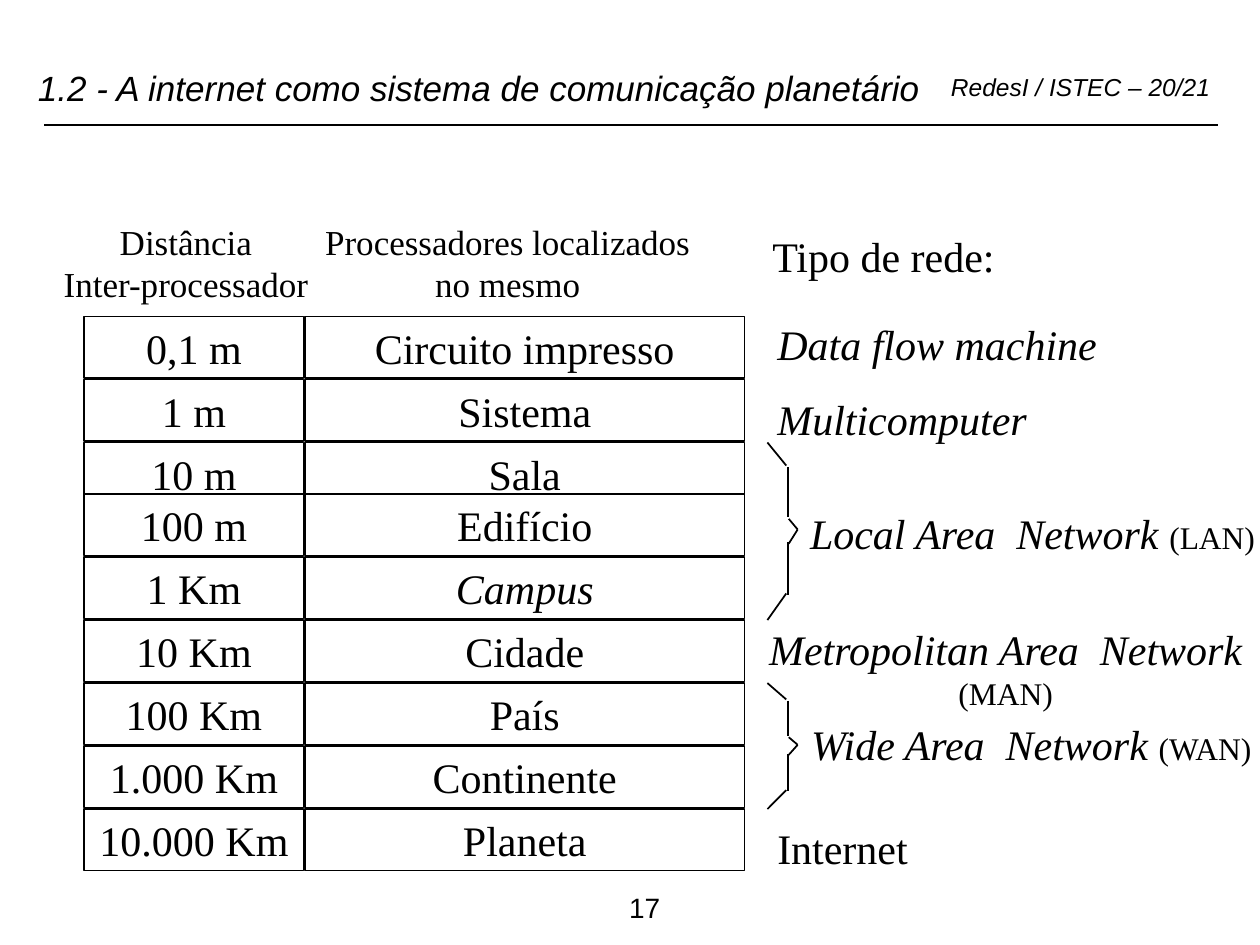
from pptx import Presentation
from pptx.dml.color import RGBColor
from pptx.enum.shapes import MSO_CONNECTOR, MSO_SHAPE
from pptx.enum.text import MSO_ANCHOR, MSO_AUTO_SIZE, PP_ALIGN
from pptx.oxml.ns import qn
from pptx.util import Cm, Pt

COLORS = {"ink": "000000", "paper": "FFFFFF"}
SERIF = "Times New Roman"
FORMATS = {
    "title": {"name": "Arial", "size": Pt(20), "italic": True},
    "course": {"name": "Arial", "size": Pt(14), "italic": True},
    "number": {"name": "Arial", "size": Pt(16), "italic": False},
    "heading": {"name": SERIF, "size": Pt(20), "italic": False},
    "plain": {"name": SERIF, "size": Pt(24), "italic": False},
    "term": {"name": SERIF, "size": Pt(24), "italic": True},
    "acronym": {"name": SERIF, "size": Pt(18), "italic": False},
}
ROWS = [
    ("0,1 m", "Circuito impresso"),
    ("1 m", "Sistema"),
    ("10 m", "Sala"),
    ("100 m", "Edifício"),
    ("1 Km", "Campus"),
    ("10 Km", "Cidade"),
    ("100 Km", "País"),
    ("1.000 Km", "Continente"),
    ("10.000 Km", "Planeta"),
]
COLUMNS = [(1.7, 4.42), (6.15, 8.86)]
TABLE_TOP, ROW_PITCH, ROW_HEIGHT = 6.38, 1.27, 1.24
OVERLAP_ROW, OVERLAP = 3, 0.23
BRACE_PARTS = [
    (0, 0.38, 0, 0.13),
    (0.41, 0.41, 0.14, 0.42),
    (0.43, 0.61, 0.43, 0.49),
    (0.43, 0.61, 0.57, 0.49),
    (0.41, 0.41, 0.56, 0.86),
    (0, 0.38, 1, 0.85),
]
HEADINGS = [
    (1.02, 4.32, 5.46, 1.93, ["Distância", "Inter-processador"]),
    (6.3, 4.32, 7.87, 1.93, ["Processadores localizados", "no mesmo"]),
]
NETWORKS = [
    (15.32, 4.52, 5.03, [("Tipo de rede:", "plain")]),
    (15.42, 6.3, 6.96, [("Data flow machine", "term")]),
    (15.42, 7.8, 5.54, [("Multicomputer", "term")]),
    (16.08, 10.11, 9.53, [("Local Area  Network ", "term"), ("(LAN)", "acronym")]),
    (16.1, 14.35, 9.55, [("Wide Area  Network ", "term"), ("(WAN)", "acronym")]),
    (15.42, 16.46, 3.15, [("Internet", "plain")]),
]


class SlideBuilder:
    def __init__(self, page):
        self.page = page
        self.ink = RGBColor.from_string(COLORS["ink"])
        self.paper = RGBColor.from_string(COLORS["paper"])

    def fill_frame(self, frame, paragraphs, align):
        for index, spans in enumerate(paragraphs):
            paragraph = frame.add_paragraph() if index else frame.paragraphs[0]
            paragraph.alignment = align
            for words, style in spans:
                span = paragraph.add_run()
                span.text = words
                for key, value in FORMATS[style].items():
                    setattr(span.font, key, value)
                span.font.color.rgb = self.ink

    def title(self, left, top, width, height, words):
        box = self.page.shapes.title
        place = {"left": left, "top": top, "width": width, "height": height}
        for key, value in place.items():
            setattr(box, key, Cm(value))
        frame = box.text_frame
        frame.word_wrap = True
        frame.auto_size = MSO_AUTO_SIZE.NONE
        frame.vertical_anchor = MSO_ANCHOR.MIDDLE
        self.fill_frame(frame, [[(words, "title")]], PP_ALIGN.LEFT)

    def text(self, left, top, width, height, paragraphs, align=PP_ALIGN.LEFT):
        box = self.page.shapes.add_textbox(Cm(left), Cm(top), Cm(width), Cm(height))
        box.text_frame.word_wrap = False
        box.text_frame.auto_size = MSO_AUTO_SIZE.SHAPE_TO_FIT_TEXT
        self.fill_frame(box.text_frame, paragraphs, align)

    def cell(self, left, top, width, height, words, style):
        box = self.page.shapes.add_shape(
            MSO_SHAPE.RECTANGLE, Cm(left), Cm(top), Cm(width), Cm(height))
        box.shadow.inherit = False
        box.fill.solid()
        box.fill.fore_color.rgb = self.paper
        box.line.color.rgb = self.ink
        box.line.width = Pt(1)
        box.text_frame.word_wrap = False
        box.text_frame.vertical_anchor = MSO_ANCHOR.MIDDLE
        self.fill_frame(box.text_frame, [[(words, style)]], PP_ALIGN.CENTER)

    def line(self, start_x, start_y, end_x, end_y, shapes=None):
        shapes = self.page.shapes if shapes is None else shapes
        rule = shapes.add_connector(
            MSO_CONNECTOR.STRAIGHT, Cm(start_x), Cm(start_y), Cm(end_x), Cm(end_y))
        rule.line.color.rgb = self.ink
        rule.line.width = Pt(1)
        properties = rule.element.spPr
        properties.append(properties.makeelement(qn("a:effectLst"), {}))

    def brace(self, left, top, height):
        group = self.page.shapes.add_group_shape()
        for start_x, end_x, start_y, end_y in BRACE_PARTS:
            self.line(left + start_x, top + start_y * height,
                      left + end_x, top + end_y * height, group.shapes)


def main():
    deck = Presentation()
    deck.slide_width, deck.slide_height = Cm(25.4), Cm(19.05)
    builder = SlideBuilder(deck.slides.add_slide(deck.slide_layouts[5]))

    builder.title(0.51, 0.71, 21.59, 2.11,
                  "1.2 - A internet como sistema de comunicação planetário")
    builder.text(18.92, 1.32, 5.74, 0.86, [[("RedesI / ISTEC – 20/21", "course")]])
    builder.line(0.89, 2.52, 24.56, 2.52)
    builder.text(11.46, 17.83, 3.07, 0.91, [[("17", "number")]], PP_ALIGN.CENTER)

    for index, row in enumerate(ROWS):
        top = TABLE_TOP + index * ROW_PITCH - (OVERLAP if index >= OVERLAP_ROW else 0)
        for (left, width), words in zip(COLUMNS, row):
            style = "term" if words == "Campus" else "plain"
            builder.cell(left, top, width, ROW_HEIGHT, words, style)

    for left, top, width, height, lines in HEADINGS:
        paragraphs = [[(words, "heading")] for words in lines]
        builder.text(left, top, width, height, paragraphs, PP_ALIGN.CENTER)

    builder.brace(15.47, 8.92, 3.58)
    builder.brace(15.47, 13.77, 2.54)
    for left, top, width, spans in NETWORKS:
        builder.text(left, top, width, 1.27, [spans])
    builder.text(15.21, 12.45, 10.13, 2.03,
                 [[("Metropolitan Area  Network", "term")], [("(MAN)", "acronym")]],
                 PP_ALIGN.CENTER)

    deck.save("out.pptx")


if __name__ == "__main__":
    main()
